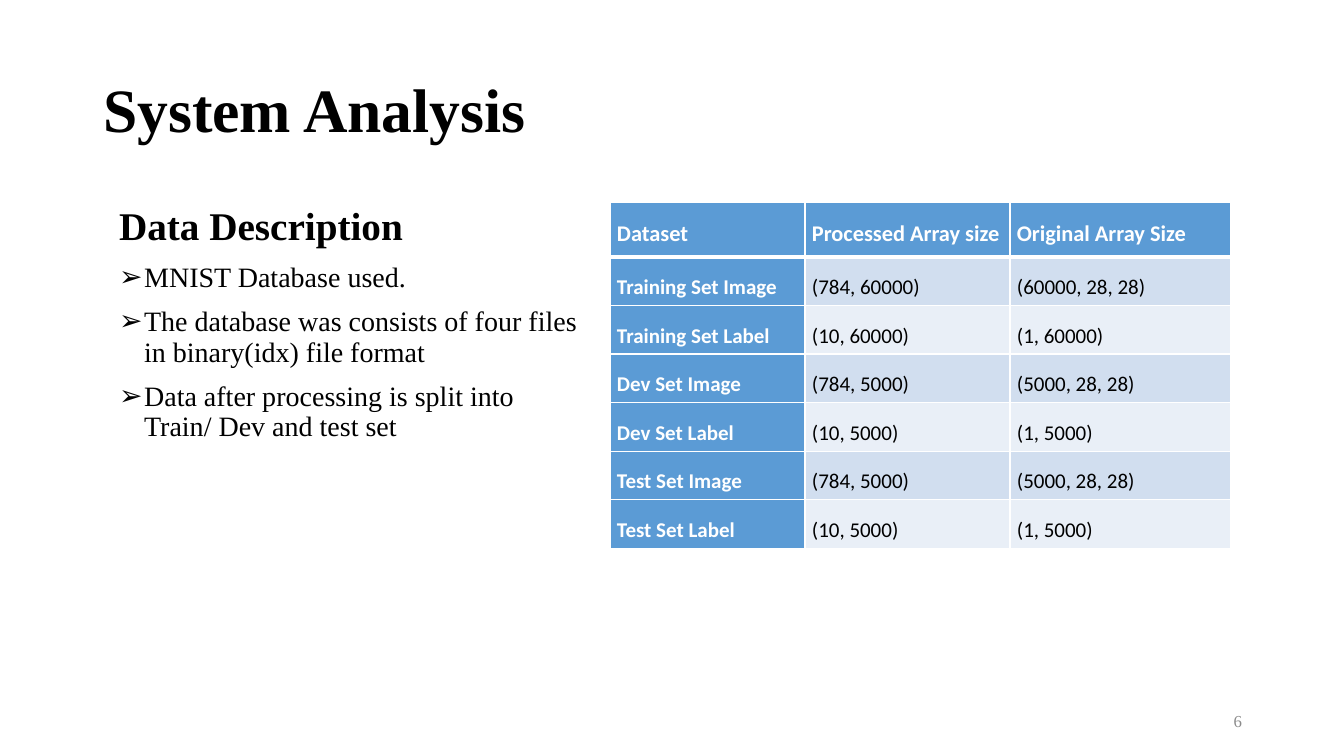
from lxml import etree
from pptx import Presentation
from pptx.dml.color import RGBColor
from pptx.enum.text import MSO_ANCHOR, MSO_AUTO_SIZE, PP_ALIGN
from pptx.oxml.ns import qn
from pptx.util import Pt

SCALE = 9071.43  # EMU per pixel
LEFT, RIGHT, JUST = PP_ALIGN.LEFT, PP_ALIGN.RIGHT, PP_ALIGN.JUSTIFY
TOP, MIDDLE = MSO_ANCHOR.TOP, MSO_ANCHOR.MIDDLE
FIXED = MSO_AUTO_SIZE.NONE

BLACK = RGBColor(0x00, 0x00, 0x00)
WHITE = RGBColor(0xFF, 0xFF, 0xFF)
GREY = RGBColor(0x8B, 0x8B, 0x8B)
BLUE = RGBColor(0x5B, 0x9B, 0xD5)
BANDS = [RGBColor(0xE9, 0xEF, 0xF7), RGBColor(0xD1, 0xDE, 0xEF)]
SERIF, SANS = "Times New Roman", "Calibri"

POINTS = [
    "MNIST Database used.",
    "The database was consists of four files in binary(idx) file format",
    "Data after processing is split into Train/ Dev and test set",
]
ROWS = [
    ("Dataset", "Processed Array size", "Original Array Size"),
    ("Training Set Image", "(784, 60000)", "(60000, 28, 28)"),
    ("Training Set Label", "(10, 60000)", "(1, 60000)"),
    ("Dev Set Image", "(784, 5000)", "(5000, 28, 28)"),
    ("Dev Set Label", "(10, 5000)", "(1, 5000)"),
    ("Test Set Image", "(784, 5000)", "(5000, 28, 28)"),
    ("Test Set Label", "(10, 5000)", "(1, 5000)"),
]
COLS = [195, 205, 221]
HEAD, ROW = 55, 48


def px(n):
    return round(n * SCALE)


def place(shape, box, anchor):
    shape.left, shape.top, shape.width, shape.height = map(px, box)
    frame = shape.text_frame
    frame.word_wrap = True
    frame.auto_size = FIXED
    frame.vertical_anchor = anchor
    return frame


def write(para, text, size, color, bold=False, font=SERIF, align=LEFT,
          line=1.0, before=0, after=0):
    para.alignment = align
    para.line_spacing = line
    para.space_before, para.space_after = Pt(before), Pt(after)
    run = para.add_run()
    run.text = text
    run.font.name, run.font.size, run.font.bold = font, Pt(size), bold
    run.font.color.rgb = color


def bullet(para, char=None):
    props = para._p.get_or_add_pPr()
    indent = px(25) if char else 0
    props.set("marL", str(indent))
    props.set("indent", str(-indent))
    if char:
        tint = etree.SubElement(props, qn("a:buClr"))
        etree.SubElement(tint, qn("a:srgbClr"), val=str(BLACK))
        etree.SubElement(props, qn("a:buChar"), char=char)
    else:
        etree.SubElement(props, qn("a:buNone"))


def border(cell, above, below):
    # Borders must come before the fill in the cell properties
    props = cell._tc.get_or_add_tcPr()
    sides = [("L", 0.96), ("R", 0.96), ("T", above), ("B", below)]
    for spot, (side, width) in enumerate(sides):
        edge = etree.Element(qn("a:ln" + side), w=str(Pt(width)))
        fill = etree.SubElement(edge, qn("a:solidFill"))
        etree.SubElement(fill, qn("a:srgbClr"), val=str(WHITE))
        props.insert(spot, edge)


def add_title(slide, box):
    frame = place(slide.shapes.title, box, MIDDLE)
    write(frame.paragraphs[0], "System Analysis", 44, BLACK, True, line=0.9)


def add_list(slide, box):
    frame = place(slide.placeholders[1], box, TOP)
    head = frame.paragraphs[0]
    write(head, "Data Description", 28, BLACK, True, line=0.9, before=10)
    bullet(head)
    for text in POINTS:
        para = frame.add_paragraph()
        write(para, text, 20, BLACK, line=0.9, before=10)
        bullet(para, "\u27a2")


def add_sizes(slide, left, top):
    high = HEAD + ROW * (len(ROWS) - 1)
    grid = slide.shapes.add_table(
        len(ROWS), len(COLS), px(left), px(top), px(sum(COLS)), px(high)).table
    grid.first_col = True
    for col, width in zip(grid.columns, COLS):
        col.width = px(width)
    for r, texts in enumerate(ROWS):
        grid.rows[r].height = px(ROW if r else HEAD)
        for c, text in enumerate(texts):
            cell = grid.cell(r, c)
            label = r == 0 or c == 0
            cell.margin_left = cell.margin_right = px(7)
            cell.margin_top = cell.margin_bottom = px(5)
            cell.fill.solid()
            cell.fill.fore_color.rgb = BLUE if label else BANDS[r % 2]
            border(cell, 3 if r == 1 else 0.96, 3 if r == 0 else 0.96)
            write(cell.text_frame.paragraphs[0], text, 15 if r else 16,
                  WHITE if label else BLACK, label, SANS, JUST, 1.5, after=6)


def add_number(slide, box):
    shape = slide.shapes.add_textbox(*map(px, box))
    frame = place(shape, box, MIDDLE)
    write(frame.paragraphs[0], "6", 12, GREY, align=RIGHT)


deck = Presentation()
deck.slide_width, deck.slide_height = px(1344), px(756)
slide = deck.slides.add_slide(deck.slide_layouts[1])

# Title, description, table of array sizes, page number
add_title(slide, (93, 40, 1159, 146))
add_list(slide, (109, 202, 479, 346))
add_sizes(slide, 610, 202)
add_number(slide, (950, 701, 302, 40))

deck.save("out.pptx")
